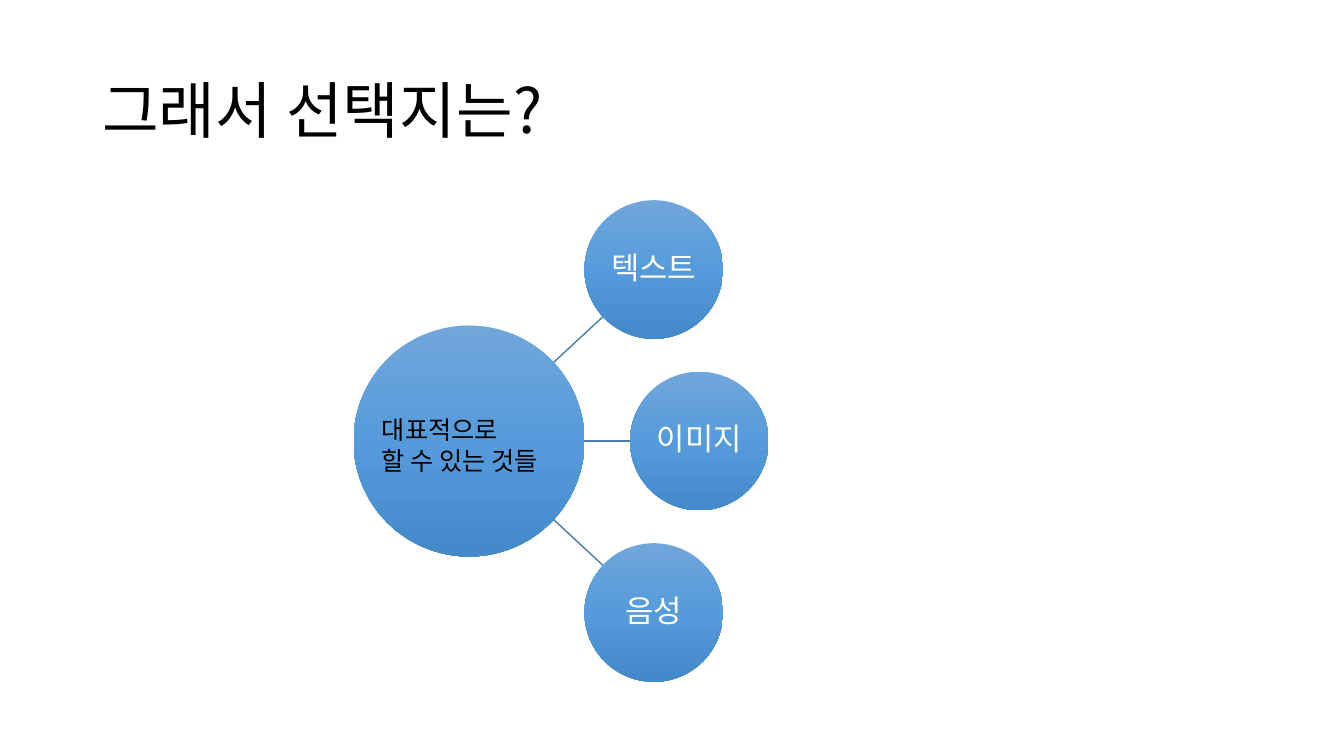
from copy import deepcopy
from dataclasses import dataclass
from math import atan2, cos, hypot, sin

from lxml.etree import SubElement
from pptx import Presentation
from pptx.dml.color import RGBColor as RGB
from pptx.enum.shapes import MSO_CONNECTOR as Connector, MSO_SHAPE as Preset
from pptx.enum.text import MSO_ANCHOR as Anchor, PP_ALIGN as Align
from pptx.oxml.ns import qn
from pptx.util import Pt


@dataclass(frozen=True)
class Theme:
    font: str = "Noto Sans CJK KR"
    dark: RGB = RGB(0x00, 0x00, 0x00)
    light: RGB = RGB(0xFF, 0xFF, 0xFF)
    spoke: RGB = RGB(0x49, 0x7C, 0xAB)
    gradient: tuple = (
        (0, RGB(0x71, 0xA6, 0xDB)),
        (0.5, RGB(0x55, 0x9B, 0xDB)),
        (1, RGB(0x44, 0x8A, 0xCA)),
    )
    title_size: int = 44
    option_size: int = 22
    hub_size: int = 18


THEME = Theme()
HUB = (335, 315)
HUB_RADIUS = 82.5
OPTION_RADIUS = 49.5
OPTIONS = (
    ("텍스트", 132, -122.5, 79),
    ("이미지", 164.5, 0, 58),
    ("음성", 132, 122.5, 79),
)


def write(frame, text, size, color, align=Align.LEFT, spacing=1.0):
    frame.text = text
    for paragraph in frame.paragraphs:
        paragraph.alignment = align
        paragraph.line_spacing = spacing
        for run in paragraph.runs:
            run.font.size = Pt(size)
            run.font.name = THEME.font
            run.font.color.rgb = color
            east_asian = SubElement(run.font._element, qn("a:ea"))
            east_asian.set("typeface", THEME.font)


def add_label(slide, text, left, top, width, height, size, **style):
    label = slide.shapes.add_textbox(Pt(left), Pt(top), Pt(width), Pt(height))
    label.text_frame.word_wrap = True
    label.text_frame.vertical_anchor = Anchor.MIDDLE
    write(label.text_frame, text, size, THEME.dark, **style)


def add_circle(slide, x, y, radius):
    circle = slide.shapes.add_shape(
        Preset.OVAL, Pt(x - radius), Pt(y - radius), Pt(2 * radius), Pt(2 * radius)
    )
    circle.shadow.inherit = False
    circle.line.fill.background()
    circle.fill.gradient()
    circle.fill.gradient_angle = 270
    stop_list = circle._element.spPr.find(".//" + qn("a:gsLst"))
    stop_list.append(deepcopy(stop_list[-1]))
    for stop, (position, color) in zip(circle.fill.gradient_stops, THEME.gradient):
        stop.position = position
        stop.color.rgb = color
    return circle


def add_spoke(slide, dx, dy, start):
    angle = atan2(dy, dx)
    end = hypot(dx, dy) - OPTION_RADIUS
    ends = [
        Pt(value)
        for reach in (start, end)
        for value in (HUB[0] + reach * cos(angle), HUB[1] + reach * sin(angle))
    ]
    spoke = slide.shapes.add_connector(Connector.STRAIGHT, *ends)
    spoke.line.color.rgb = THEME.spoke
    spoke.line.width = Pt(1)
    SubElement(spoke._element.spPr, qn("a:effectLst"))


def add_option(slide, text, dx, dy):
    option = add_circle(slide, HUB[0] + dx, HUB[1] + dy, OPTION_RADIUS)
    frame = option.text_frame
    frame.margin_left = frame.margin_right = Pt(1.5)
    frame.margin_top = frame.margin_bottom = Pt(1.5)
    frame.vertical_anchor = Anchor.MIDDLE
    write(frame, text, THEME.option_size, THEME.light, Align.CENTER, 0.9)


def main():
    deck = Presentation()
    deck.slide_width, deck.slide_height = Pt(960), Pt(540)
    slide = deck.slides.add_slide(deck.slide_layouts[6])

    add_label(slide, "그래서 선택지는?", 66, 28.75, 828, 104.4,
              THEME.title_size, spacing=0.9)
    for _, dx, dy, start in OPTIONS:
        add_spoke(slide, dx, dy, start)
    add_circle(slide, *HUB, HUB_RADIUS)
    for text, dx, dy, _ in OPTIONS:
        add_option(slide, text, dx, dy)
    add_label(slide, "대표적으로\n할 수 있는 것들", 265.7, 292.3, 144.7, 51,
              THEME.hub_size)

    deck.save("out.pptx")


if __name__ == "__main__":
    main()
